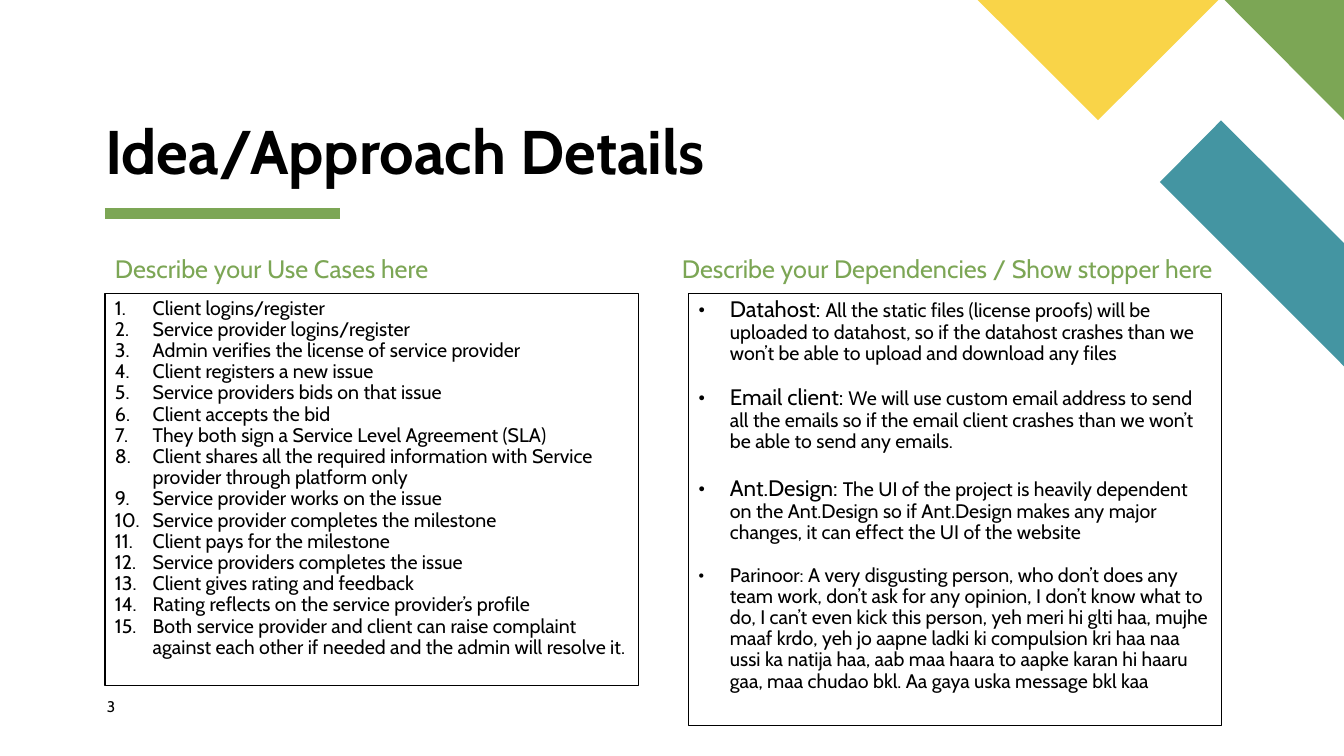
from dataclasses import dataclass

from lxml.etree import SubElement as Sub
from pptx import Presentation
from pptx.dml.color import RGBColor as Rgb
from pptx.enum.shapes import MSO_CONNECTOR as Conn, MSO_SHAPE as Kind
from pptx.enum.text import MSO_ANCHOR as Anchor, MSO_AUTO_SIZE as Fit, PP_ALIGN as Align
from pptx.oxml.ns import qn
from pptx.util import Pt


@dataclass(frozen=True)
class Theme:
    """Hold the colours, font and type sizes of the slide."""
    ink: Rgb = Rgb(0, 0, 0)
    green: Rgb = Rgb(0x7C, 0xA6, 0x55)
    teal: Rgb = Rgb(0x44, 0x95, 0xA2)
    gold: Rgb = Rgb(0xF9, 0xD4, 0x48)
    font: str = "Cabin"
    title: int = 44
    head: int = 18
    lead: int = 16
    body: int = 14
    foot: int = 11


LOOK = Theme()

CASES = [
    "Client logins/register",
    "Service provider logins/register",
    "Admin verifies the license of service provider",
    "Client registers a new issue",
    "Service providers bids on that issue",
    "Client accepts the bid",
    "They both sign a Service Level Agreement (SLA)",
    "Client shares all the required information with Service provider through platform only",
    "Service provider works on the issue",
    "Service provider completes the milestone",
    "Client pays for the milestone",
    "Service providers completes the issue",
    "Client gives rating and feedback",
    "Rating reflects on the service provider’s profile",
    "Both service provider and client can raise complaint against each other if needed "
    "and the admin will resolve it.",
]

NEEDS = [
    ("Datahost: ", "All the static files (license proofs) will be uploaded to datahost, so if the "
     "datahost crashes than we won’t be able to upload and download any files", 0),
    ("Email client: ", "We will use custom email address to send all the emails so if the email "
     "client crashes than we won’t be able to send any emails.", 15.3),
    ("Ant.Design: ", "The UI of the project is heavily dependent on the Ant.Design so if "
     "Ant.Design makes any major changes, it can effect the UI of the website", 17.5),
    ("", "Parinoor: A very disgusting person, who don’t does any team work, don’t ask for any "
     "opinion, I don’t know what to do, I can’t even kick this person, yeh meri hi glti haa, "
     "mujhe maaf krdo, yeh jo aapne ladki ki compulsion kri haa naa ussi ka natija haa, aab maa "
     "haara to aapke karan hi haaru gaa, maa chudao bkl. Aa gaya uska message bkl kaa", 15.3),
]


def write(para, text, size=LOOK.body, color=LOOK.ink, bold=False, lines=0.9, gap=0):
    """Add a run of text to a paragraph and format both."""
    para.alignment = Align.LEFT
    para.line_spacing = lines
    para.space_before = Pt(gap)
    run = para.add_run()
    run.text = text
    font = run.font
    font.name, font.size, font.bold = LOOK.font, Pt(size), bold
    font.color.rgb = color


def mark(para, hang, tag, **attrs):
    """Give a paragraph a hanging bullet or number."""
    props = para._p.get_or_add_pPr()
    props.set("marL", str(Pt(hang)))
    props.set("indent", str(-Pt(hang)))
    Sub(props, qn("a:buFont"), typeface=LOOK.font)
    Sub(props, qn(tag), **attrs)


def setup(shape, pad=(7.2, 3.6), anchor=Anchor.TOP):
    """Set the wrapping, margins and anchor of a text frame and return it."""
    frame = shape.text_frame
    frame.word_wrap = True
    frame.auto_size = Fit.NONE
    frame.vertical_anchor = anchor
    frame.margin_left = frame.margin_right = Pt(pad[0])
    frame.margin_top = frame.margin_bottom = Pt(pad[1])
    return frame


def label(slide, box, text, pad=(7.2, 3.6), **form):
    """Place a single line of text."""
    frame = setup(slide.shapes.add_textbox(*map(Pt, box)), pad)
    write(frame.paragraphs[0], text, **form)


def panel(slide, box):
    """Draw an outlined box and return its text frame."""
    shape = slide.shapes.add_shape(Kind.RECTANGLE, *map(Pt, box))
    shape.shadow.inherit = False
    shape.fill.background()
    shape.line.color.rgb = LOOK.ink
    shape.line.width = Pt(0.75)
    return setup(shape)


def rows(frame, items):
    """Yield each item with a paragraph of its own."""
    for num, item in enumerate(items):
        yield frame.add_paragraph() if num else frame.paragraphs[0], item


def corner(slide, right, top):
    """Draw the coloured shapes against the top right corner."""
    parts = [
        (LOOK.teal, [(0, 261.6), (0, 173.6), (-87.8, 86), (-131.5, 130)]),
        (LOOK.green, [(0, 85.7), (0, 0), (-85.3, 0)]),
        (LOOK.gold, [(-261.6, 0), (-175.6, 85.8), (-89.6, 0)]),
    ]
    for color, dots in parts:
        spots = [(Pt(right + x), Pt(top + y)) for x, y in dots]
        path = slide.shapes.build_freeform(*spots[0])
        path.add_line_segments(spots[1:], close=True)
        shape = path.convert_to_shape()
        shape.shadow.inherit = False
        shape.fill.solid()
        shape.fill.fore_color.rgb = color
        shape.line.fill.background()


def header(slide, box, text):
    """Place the title and the green bar below it."""
    left, top, wide, high = box
    title = slide.shapes.title
    title.left, title.top, title.width, title.height = map(Pt, box)
    frame = setup(title, (0, 0), Anchor.BOTTOM)
    write(frame.paragraphs[0], text, size=LOOK.title, bold=True)
    base = top + high + 18.2
    bar = slide.shapes.add_connector(
        Conn.STRAIGHT, Pt(left), Pt(base), Pt(left + 168), Pt(base))
    bar.line.color.rgb = LOOK.green
    bar.line.width = Pt(8)
    Sub(bar._element.spPr, qn("a:effectLst"))


def cases(slide, box):
    """Place the numbered use cases under their heading."""
    left, top, wide, high = box
    label(slide, (left, top, wide, 25), "Describe your Use Cases here",
          size=LOOK.head, color=LOOK.green)
    frame = panel(slide, (left, top + 29.5, wide, high - 29.5))
    for para, text in rows(frame, CASES):
        write(para, text)
        mark(para, 27, "a:buAutoNum", type="arabicPeriod")


def needs(slide, box):
    """Place the bulleted dependencies under their heading."""
    left, top, wide, high = box
    label(slide, (left - 11.8, top, wide + 24, 25),
          "Describe your Dependencies / Show stopper here",
          size=LOOK.head, color=LOOK.green)
    frame = panel(slide, (left, top + 29.5, wide, high - 29.5))
    for para, (lead, text, gap) in rows(frame, NEEDS):
        if lead:
            write(para, lead, size=LOOK.lead, gap=gap)
        write(para, text, gap=gap)
        mark(para, 22.5, "a:buChar", char="•")


def main():
    """Build the slide and save it."""
    deck = Presentation()
    deck.slide_width, deck.slide_height = Pt(960), Pt(540)
    slide = deck.slides.add_slide(deck.slide_layouts[5])
    corner(slide, 960, 0)
    header(slide, (75, 86.4, 455, 48), "Idea/Approach Details")
    cases(slide, (75, 180, 381, 309.5))
    needs(slide, (491.8, 180, 381, 338.5))
    label(slide, (76.3, 498.2, 41, 19.4), "3", pad=(0, 0), size=LOOK.foot, lines=1.0)
    deck.save("out.pptx")


if __name__ == "__main__":
    main()
